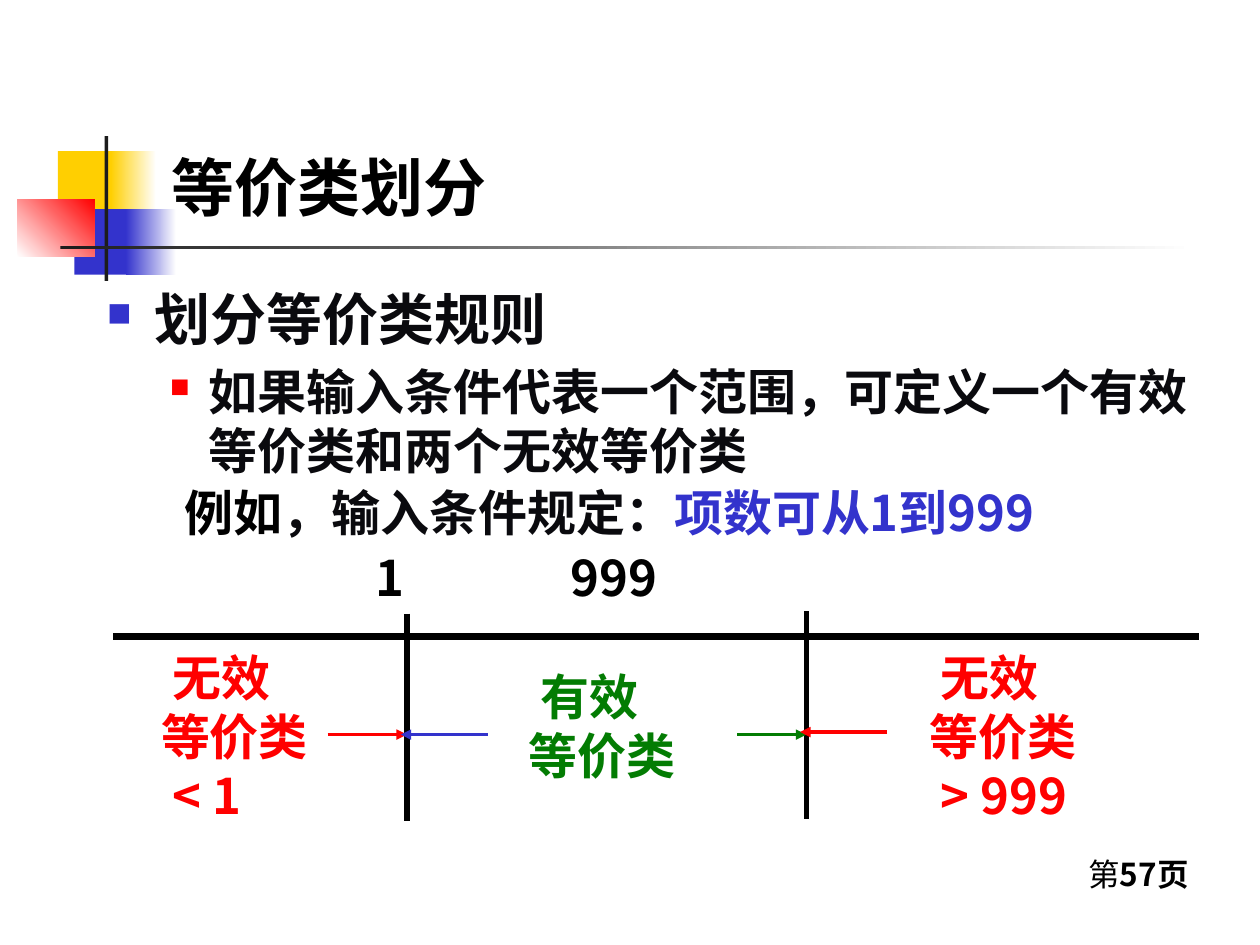
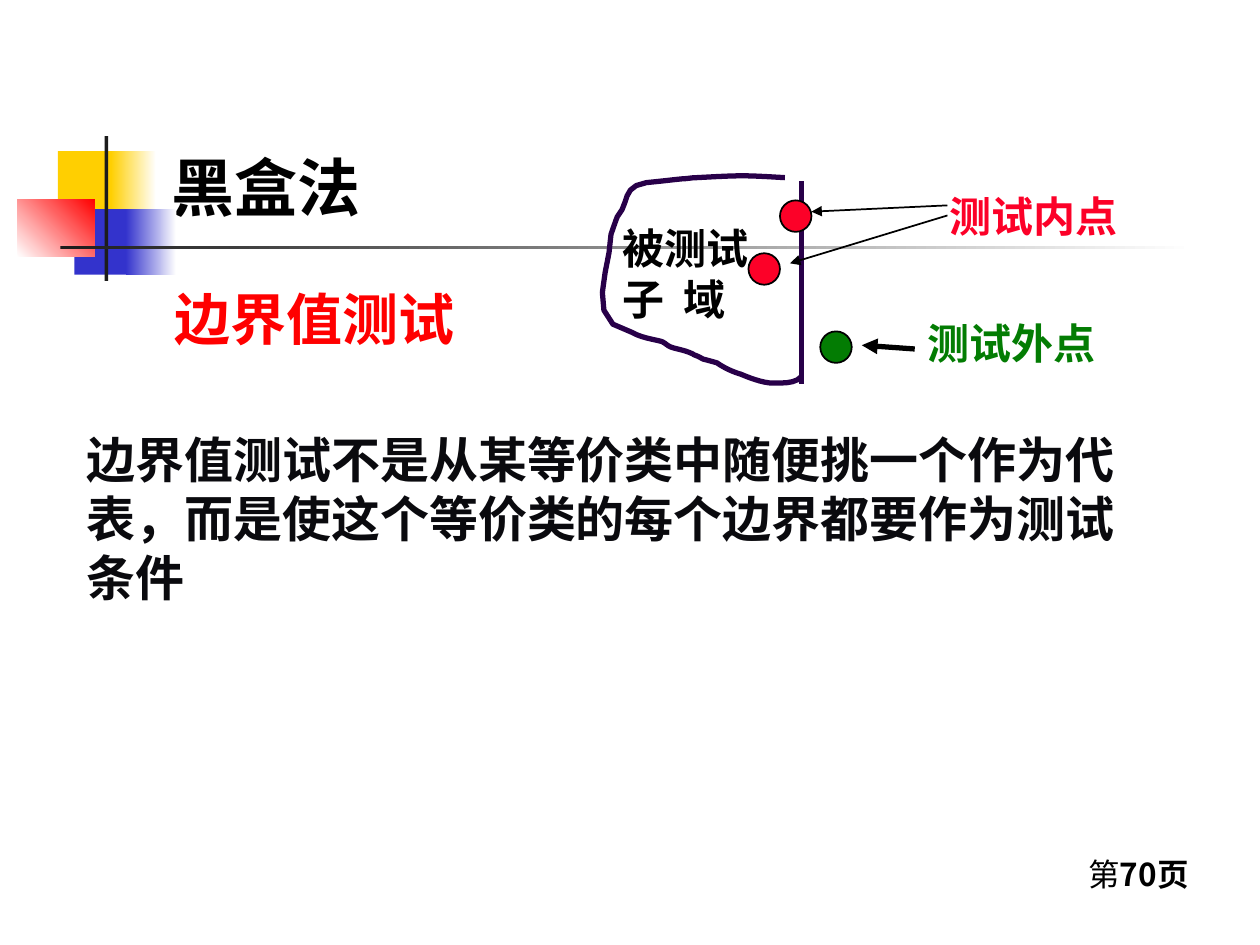
from dataclasses import dataclass

from lxml.etree import SubElement
from pptx import Presentation
from pptx.dml.color import RGBColor
from pptx.enum.shapes import MSO_CONNECTOR as Connector, MSO_SHAPE as Preset
from pptx.enum.text import MSO_ANCHOR as Anchor, PP_ALIGN as Align
from pptx.oxml.ns import qn
from pptx.util import Emu, Inches, Pt

SLIDE_WIDTH, SLIDE_HEIGHT = Inches(10), Inches(7.5)
GRID_COLUMNS, GRID_ROWS = 10, 7.5


@dataclass(frozen=True)
class Theme:
    black: str = "000000"
    white: str = "FFFFFF"
    ink: str = "0A0A0E"
    charcoal: str = "1C1C1C"
    yellow: str = "FFCF01"
    blue: str = "3333CC"
    red: str = "FF0000"
    crimson: str = "FC0128"
    green: str = "037C03"
    violet: str = "280049"
    latin: str = "Lato"
    chinese: str = "Noto Sans CJK SC"
    title_size: int = 36
    heading_size: int = 32
    body_size: int = 28
    label_size: int = 24
    footer_size: int = 18


THEME = Theme()


# Grid and colour helpers
def column(count):
    return Emu(round(SLIDE_WIDTH * count / GRID_COLUMNS))


def row(count):
    return Emu(round(SLIDE_HEIGHT * count / GRID_ROWS))


def box(left, top, width, height):
    return column(left), row(top), column(width), row(height)


def rgb(value):
    return RGBColor.from_string(value)


# Text
def format_run(run, size, color, bold=True, font=THEME.chinese):
    run.font.size, run.font.bold, run.font.name = Pt(size), bold, font
    run.font.color.rgb = rgb(color)
    SubElement(run.font._element, qn("a:ea"), typeface=THEME.chinese)


def add_run(paragraph, text, size, color, **style):
    run = paragraph.add_run()
    run.text = text
    format_run(run, size, color, **style)
    return run


def indent(paragraph, margin, first_line=0):
    properties = paragraph._p.get_or_add_pPr()
    properties.set("marL", str(column(margin)))
    properties.set("indent", str(column(first_line)))
    return properties


def add_bullet(paragraph, margin, hanging, color, percent):
    properties = indent(paragraph, margin, -hanging)
    bullet_color = SubElement(properties, qn("a:buClr"))
    SubElement(bullet_color, qn("a:srgbClr"), val=color)
    SubElement(properties, qn("a:buSzPct"), val=str(percent * 1000))
    SubElement(properties, qn("a:buChar"), char="■")


def add_text(slide, place, lines, size, color, **style):
    text_frame = slide.shapes.add_textbox(*box(*place)).text_frame
    text_frame.word_wrap = True
    text_frame.text = "\n".join(lines)
    for paragraph in text_frame.paragraphs:
        for run in paragraph.runs:
            format_run(run, size, color, **style)
    return text_frame


# Shapes and lines
def add_shape(slide, preset, place, fill, outline=None):
    shape = slide.shapes.add_shape(preset, *box(*place))
    shape.shadow.inherit = False
    shape.fill.solid()
    shape.fill.fore_color.rgb = rgb(fill)
    if outline:
        shape.line.color.rgb = rgb(outline)
        shape.line.width = Pt(1)
    else:
        shape.line.fill.background()
    return shape


def add_fade(slide, place, start, end, angle=0):
    shape = add_shape(slide, Preset.RECTANGLE, place, start)
    shape.fill.gradient()
    shape.fill.gradient_angle = angle
    for stop, color in zip(shape.fill.gradient_stops, (start, end)):
        stop.color.rgb = rgb(color)


def add_line(slide, start, end, color, width, arrow=False):
    line = slide.shapes.add_connector(
        Connector.STRAIGHT, column(start[0]), row(start[1]), column(end[0]), row(end[1]))
    line.line.color.rgb = rgb(color)
    line.line.width = Pt(width)
    if arrow:
        SubElement(line.get_or_add_ln(), qn("a:tailEnd"), type="triangle")
    SubElement(line.element.spPr, qn("a:effectLst"))


def bezier_points(start, curves, steps=6):
    for first, second, end in curves:
        for step in range(1, steps + 1):
            t = step / steps
            weights = ((1 - t) ** 3, 3 * t * (1 - t) ** 2, 3 * t * t * (1 - t), t ** 3)
            corners = (start, first, second, end)
            x, y = (sum(w * c[axis] for w, c in zip(weights, corners)) for axis in (0, 1))
            yield column(x), row(y)
        start = end


def add_curve(slide, start, curves, color, width):
    builder = slide.shapes.build_freeform(column(start[0]), row(start[1]))
    builder.add_line_segments(list(bezier_points(start, curves)), close=False)
    shape = builder.convert_to_shape()
    shape.shadow.inherit = False
    shape.fill.background()
    shape.line.color.rgb = rgb(color)
    shape.line.width = Pt(width)


# Shared frame: title, corner blocks, rules and page number
def add_slide(presentation, title_text, page):
    slide = presentation.slides.add_slide(presentation.slide_layouts[5])
    title = slide.shapes.title
    title.left, title.top, title.width, title.height = box(1.26, 0.23, 8.52, 1.6)
    title.text_frame.text = title_text
    title.text_frame.vertical_anchor = Anchor.BOTTOM
    paragraph = title.text_frame.paragraphs[0]
    paragraph.alignment = Align.LEFT
    format_run(paragraph.runs[0], THEME.title_size, THEME.black, font=THEME.latin)

    add_shape(slide, Preset.RECTANGLE, (0.46, 1.2, 0.48, 0.52), THEME.yellow)
    add_fade(slide, (0.88, 1.2, 0.36, 0.52), THEME.yellow, THEME.white)
    add_shape(slide, Preset.RECTANGLE, (0.59, 1.66, 0.46, 0.52), THEME.blue)
    add_fade(slide, (1, 1.66, 0.4, 0.52), THEME.blue, THEME.white)
    add_fade(slide, (0.14, 1.58, 0.61, 0.46), THEME.white, THEME.red, angle=45)
    add_shape(slide, Preset.RECTANGLE, (0.83, 1.08, 0.03, 1.15), THEME.charcoal)
    add_fade(slide, (0.48, 1.95, 9, 0.03), THEME.charcoal, THEME.white)

    footer = add_text(slide, (8.54, 6.74, 1.08, 0.4), ["第"],
                      THEME.footer_size, THEME.black, bold=False)
    add_run(footer.paragraphs[0], f"{page}页", THEME.footer_size, THEME.black)
    return slide


# Slide: rules for equivalence classes
def add_rules(slide):
    text_frame = add_text(
        slide, (0.75, 2.21, 9.05, 2.2), ["划分等价类规则"],
        THEME.heading_size, THEME.ink, font=THEME.latin)
    add_bullet(text_frame.paragraphs[0], 0.38, 0.38, THEME.blue, 60)

    rule = text_frame.add_paragraph()
    rule.space_before = Pt(5.6)
    add_bullet(rule, 0.81, 0.31, THEME.red, 55)
    add_run(rule, "如果输入条件代表一个范围，可定义一个有效等价类和两个无效等价类",
            THEME.body_size, THEME.ink)

    example = text_frame.add_paragraph()
    example.space_before = Pt(2)
    indent(example, 0.81, -0.19)
    for text, color in (("例如", THEME.black), ("，输入条件规定：", THEME.ink),
                        ("项数可从1到999", THEME.blue)):
        add_run(example, text, THEME.body_size, color)


def add_class_label(slide, left, top, lines, color):
    text_frame = add_text(slide, (left, top, 1.5, 1.5), lines, THEME.body_size, color)
    for paragraph in text_frame.paragraphs:
        if paragraph.text != "等价类":
            indent(paragraph, 0.09)


def add_number_line(slide):
    lower, upper, axis, arrows = 3.23, 6.4, 5.05, 5.83
    add_line(slide, (0.9, axis), (9.52, axis), THEME.black, 4)
    for limit, top in ((lower, 4.87), (upper, 4.85)):
        add_line(slide, (limit, top), (limit, top + 1.65), THEME.black, 3)
    for left, text in ((2.88, "1"), (4.43, "999")):
        add_text(slide, (left, 4.3, 1, 0.56), [text], THEME.body_size, THEME.black)

    add_class_label(slide, 4.1, 5.24, ["有效", "等价类"], THEME.green)
    add_class_label(slide, 7.28, 5.09, ["无效", "等价类", "> 999"], THEME.red)
    add_class_label(slide, 1.18, 5.09, ["无效", "等价类", "< 1"], THEME.red)

    for start, end, y, color in (
            (2.6, lower, arrows, THEME.red), (5.85, upper, arrows, THEME.green),
            (3.87, lower - 0.05, arrows, THEME.blue),
            (7.04, upper - 0.05, arrows - 0.02, THEME.red)):
        add_line(slide, (start, y), (end, y), color, 2, arrow=True)


# Slide: boundary value testing
SUBDOMAIN_START = (6.23, 1.41)
SUBDOMAIN_CURVES = [
    ((5.86, 1.39), (5.93, 1.39), (5.53, 1.41)),
    ((5.49, 1.41), (5.45, 1.42), (5.41, 1.42)),
    ((5.32, 1.43), (5.13, 1.45), (5.13, 1.45)),
    ((4.93, 1.48), (5, 1.61), (4.9, 1.72)),
    ((4.88, 1.77), (4.85, 1.86), (4.85, 1.86)),
    ((4.85, 2.13), (4.61, 2.56), (5.02, 2.64)),
    ((5.09, 2.68), (5.17, 2.69), (5.25, 2.71)),
    ((5.28, 2.72), (5.3, 2.75), (5.34, 2.76)),
    ((5.37, 2.77), (5.44, 2.78), (5.5, 2.81)),
    ((5.51, 2.82), (5.53, 2.82), (5.58, 2.85)),
    ((5.62, 2.86), (5.69, 2.88), (5.69, 2.88)),
    ((5.75, 2.92), (5.81, 2.95), (5.88, 2.97)),
    ((5.95, 3), (6.03, 3.03), (6.11, 3.04)),
    ((6.19, 3.04), (6.31, 3.05), (6.36, 2.99)),
]


def add_subdomain(slide):
    add_curve(slide, SUBDOMAIN_START, SUBDOMAIN_CURVES, THEME.violet, 3)
    add_line(slide, (6.36, 1.44), (6.36, 3.05), THEME.violet, 3)
    for left, top, color in ((6.19, 1.59, THEME.crimson), (6.51, 2.63, THEME.green),
                             (5.94, 2.01, THEME.crimson)):
        add_shape(slide, Preset.OVAL, (left, top, 0.25, 0.25), color, THEME.black)

    name = add_text(slide, (4.84, 1.72, 1.33, 0.9), ["被测试", "子 域"],
                    THEME.label_size, THEME.black)
    name.paragraphs[1].runs[0].font._element.set("spc", "270")

    for start, end, width in (((7.52, 1.63), (6.44, 1.68), 1),
                              ((7.52, 1.71), (6.27, 2.09), 1),
                              ((7.26, 2.77), (6.84, 2.74), 3)):
        add_line(slide, start, end, THEME.black, width, arrow=True)
    for left, top, text, color in ((7.44, 1.46, "测试内点", THEME.crimson),
                                   (7.26, 2.47, "测试外点", THEME.green)):
        add_text(slide, (left, top, 1.75, 0.5), [text], THEME.label_size, color)


def main():
    presentation = Presentation()
    presentation.slide_width, presentation.slide_height = SLIDE_WIDTH, SLIDE_HEIGHT

    slide = add_slide(presentation, "等价类划分", 57)
    add_rules(slide)
    add_number_line(slide)

    slide = add_slide(presentation, "黑盒法", 70)
    add_text(slide, (1.29, 2.21, 3.3, 0.7), ["边界值测试"],
             THEME.heading_size, THEME.red, font=THEME.latin)
    add_subdomain(slide)
    add_text(slide, (0.59, 3.36, 8.66, 2),
             ["边界值测试不是从某等价类中随便挑一个作为代表，"
              "而是使这个等价类的每个边界都要作为测试条件"],
             THEME.body_size, THEME.ink, font=THEME.latin)

    presentation.save("out.pptx")


if __name__ == "__main__":
    main()
